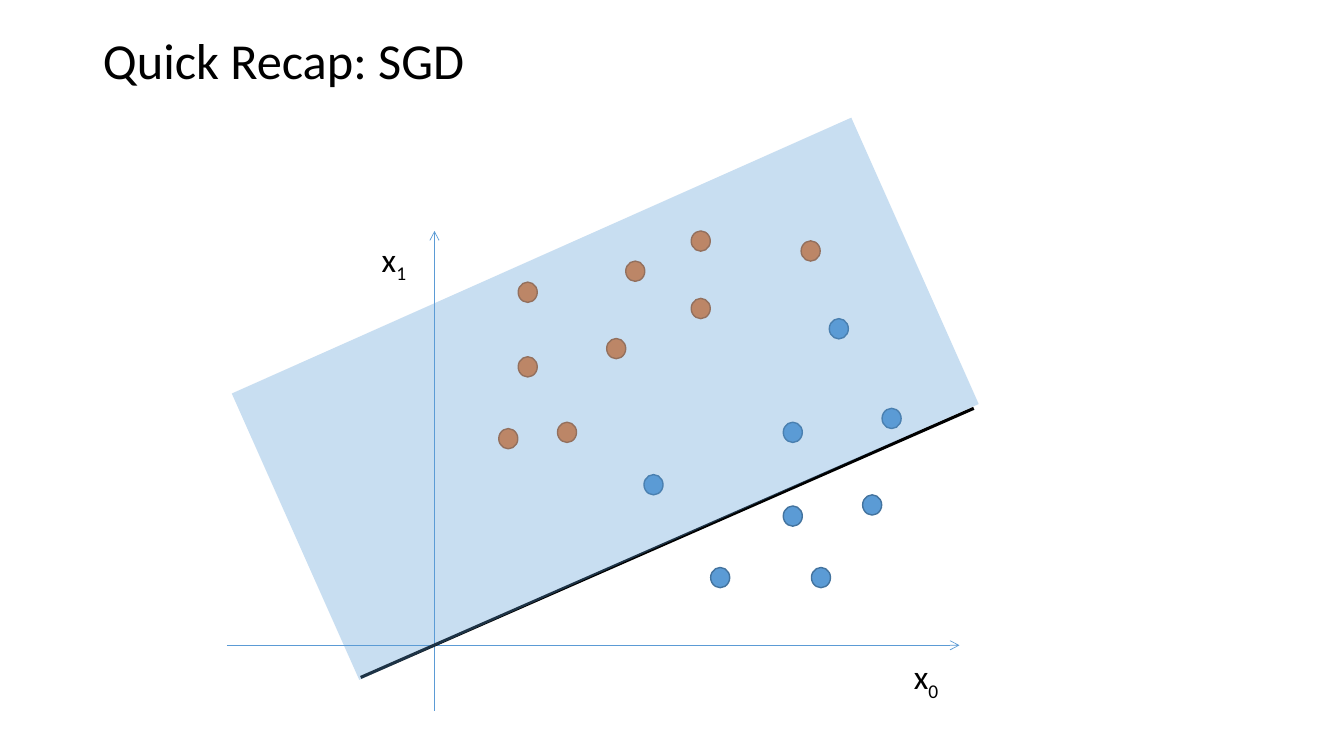
import pptx
import pptx.dml.color
import pptx.enum.shapes
import pptx.enum.text
import pptx.oxml
import pptx.oxml.ns
import pptx.util

Cm = pptx.util.Cm
Pt = pptx.util.Pt
RGBColor = pptx.dml.color.RGBColor
MSO_SHAPE = pptx.enum.shapes.MSO_SHAPE

BLACK = RGBColor(0x00, 0x00, 0x00)
BLUE = RGBColor(0x5B, 0x9B, 0xD5)
DARK_BLUE = RGBColor(0x43, 0x73, 0x9E)
ORANGE = RGBColor(0xED, 0x7D, 0x31)
DARK_ORANGE = RGBColor(0xAF, 0x5C, 0x24)

# Top-left corners of the data points, in cm
BLUE_CLASS = [
    (19.74, 10.64), (16.23, 11.96), (21.74, 12.47), (20.9, 8.03),
    (20.45, 14.3), (17.91, 14.3), (22.23, 10.29), (19.74, 12.75),
]
ORANGE_CLASS = [
    (13.06, 8.99), (15.77, 6.58), (13.06, 7.11), (14.05, 10.64), (15.29, 8.53),
    (17.42, 7.52), (20.19, 6.07), (12.57, 10.8), (17.42, 5.82),
]


def add_xml(parent, tag, **attributes):
    element = pptx.oxml.parse_xml(f"<a:{tag} {pptx.oxml.ns.nsdecls('a')}/>")
    for name, value in attributes.items():
        element.set(name, value)
    parent.append(element)


class PlotSlide:
    font_name = "Calibri"
    title_size = Pt(36)
    label_size = Pt(24)
    point_size = (Cm(0.48), Cm(0.51))

    def __init__(self, presentation):
        self.slide = presentation.slides.add_slide(presentation.slide_layouts[5])
        self.shapes = self.slide.shapes

    def style(self, paragraph, size):
        paragraph.font.name = self.font_name
        paragraph.font.size = size
        paragraph.font.color.rgb = BLACK

    def title(self, text, left, top, width, height):
        title = self.shapes.title
        title.left, title.top = Cm(left), Cm(top)
        title.width, title.height = Cm(width), Cm(height)
        title.text = text
        title.text_frame.vertical_anchor = pptx.enum.text.MSO_ANCHOR.MIDDLE
        heading = title.text_frame.paragraphs[0]
        heading.alignment = pptx.enum.text.PP_ALIGN.LEFT
        heading.line_spacing = 0.9
        self.style(heading, self.title_size)

    def line(self, start, end, color, weight, arrow=False):
        line = self.shapes.add_connector(
            pptx.enum.shapes.MSO_CONNECTOR.STRAIGHT,
            *(Cm(value) for value in (*start, *end)))
        line.line.color.rgb = color
        line.line.width = Pt(weight)
        if arrow:
            add_xml(line.line._get_or_add_ln(), "tailEnd", type="arrow")
        add_xml(line._element.spPr, "effectLst")

    def points(self, corners, fill, outline):
        for left, top in corners:
            point = self.shapes.add_shape(
                MSO_SHAPE.OVAL, Cm(left), Cm(top), *self.point_size)
            point.shadow.inherit = False
            point.fill.solid()
            point.fill.fore_color.rgb = fill
            point.line.color.rgb = outline
            point.line.width = Pt(1)

    def axis_label(self, symbol, subscript, left, top):
        label = self.shapes.add_textbox(Cm(left), Cm(top), Cm(1.57), Cm(1.27))
        label.text_frame.word_wrap = True
        paragraph = label.text_frame.paragraphs[0]
        paragraph.add_run().text = symbol
        index = paragraph.add_run()
        index.text = subscript
        index.font._element.set("baseline", "-25000")
        self.style(paragraph, self.label_size)

    def region(self, left, top, width, height, rotation, color, opacity):
        region = self.shapes.add_shape(
            MSO_SHAPE.RECTANGLE, Cm(left), Cm(top), Cm(width), Cm(height))
        region.rotation = rotation
        region.shadow.inherit = False
        region.fill.solid()
        region.fill.fore_color.rgb = color
        tint = region._element.spPr.find(".//" + pptx.oxml.ns.qn("a:srgbClr"))
        add_xml(tint, "alpha", val=str(opacity * 1000))
        region.line.fill.background()


def main():
    presentation = pptx.Presentation()
    presentation.slide_width = Cm(33.87)
    presentation.slide_height = Cm(19.05)

    plot = PlotSlide(presentation)
    plot.title("Quick Recap: SGD", 2.34, -0.25, 29.21, 3.68)
    plot.line((10.95, 17.91), (10.95, 5.82), BLUE, 0.5, arrow=True)
    plot.line((5.72, 16.26), (24.18, 16.26), BLUE, 0.5, arrow=True)
    plot.line((9.09, 17.07), (24.54, 10.29), BLACK, 2.25)
    plot.points(BLUE_CLASS, BLUE, DARK_BLUE)
    plot.points(ORANGE_CLASS, ORANGE, DARK_ORANGE)
    plot.axis_label("x", "0", 22.78, 16.41)
    plot.axis_label("x", "1", 9.37, 5.89)
    plot.region(6.71, 6.1, 17.09, 7.9, 336, BLUE, 33)

    presentation.save("out.pptx")


if __name__ == "__main__":
    main()
